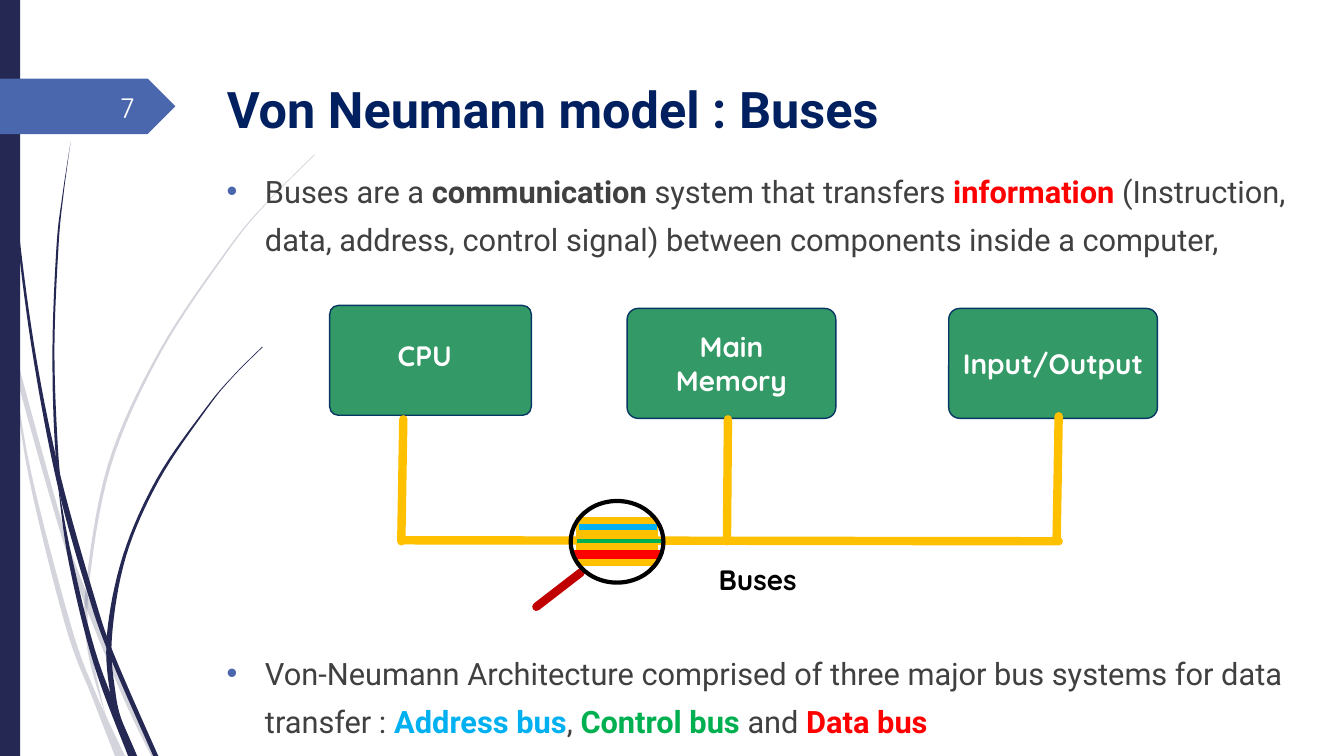
from dataclasses import dataclass
from lxml.etree import SubElement
from pptx import Presentation
from pptx.dml.color import RGBColor
from pptx.enum.shapes import MSO_CONNECTOR, MSO_SHAPE
from pptx.enum.text import MSO_ANCHOR, PP_ALIGN
from pptx.oxml.ns import qn
from pptx.util import Inches, Pt


@dataclass(frozen=True)
class Theme:
    navy: str = "242852"
    tag: str = "4A66AC"
    title: str = "002060"
    body: str = "404040"
    box: str = "339966"
    edge: str = "073763"
    bus: str = "FFC000"
    handle: str = "C00000"
    address: str = "00B0F0"
    control: str = "00B050"
    data: str = "FF0000"
    black: str = "000000"
    white: str = "FFFFFF"
    text_font: str = "Roboto"
    label_font: str = "Quicksand"
    title_size: int = 36
    body_size: int = 22
    label_size: int = 20


T = Theme()
rgb = RGBColor.from_string
prs = Presentation()
prs.slide_width, prs.slide_height = Inches(13.33), Inches(7.5)
CELL = prs.slide_height // 75  # square grid, 75 rows high
s = prs.slides.add_slide(prs.slide_layouts[5])
shapes = s.shapes


def grid(*cells):
    return [round(c * CELL) for c in cells]


def write(p, parts, size, font, align=PP_ALIGN.LEFT):
    """Fill a paragraph with (text, colour, bold) runs."""
    p.alignment = align
    for text, color, bold in parts:
        r = p.add_run()
        r.text = text
        r.font.size, r.font.name, r.font.bold = Pt(size), font, bold
        r.font.color.rgb = rgb(color)


# Wisps: opacity in percent, left edge, right edge
wisps = [
    (20, [(0, 29.9), (1.7, 37.6), (5.8, 52.2), (8.4, 59.9), (12.3, 69.4), (15, 75)],
     [(0, 28.2), (1.4, 34.5), (6.2, 52), (8.5, 58.6), (12.7, 69.2), (15.5, 75)]),
    (20, [(1.1, 35), (2.8, 47), (6.5, 62.1), (9.2, 69.3), (11.4, 75)],
     [(1.1, 35), (3.1, 46.9), (7, 61.9), (9.3, 68.3), (12.4, 75)]),
    (20, [(31.2, 15.3), (26.8, 19.7), (22.8, 24.4), (15.8, 34.8), (10.7, 46.1),
          (8.5, 58.4), (8.7, 64.6), (10.5, 71.1)],
     [(31.2, 15.4), (26.8, 19.8), (22.9, 24.5), (16, 34.9), (11, 46.2),
      (8.8, 58.4), (9.1, 64.6), (10.5, 71.1)]),
    (100, [(0.3, 0), (0.7, 11), (1.7, 23.3), (3.3, 35.5), (5.7, 48.1), (8.8, 59.2),
           (11.1, 65.6), (15.2, 75)],
     [(0.4, 0), (0.8, 10.9), (1.9, 23.2), (3.6, 35.5), (6, 47.2), (9.3, 59),
      (11.3, 64.9), (15.7, 75)]),
    (100, [(5.7, 47.7), (6.8, 55.7), (9.3, 65.9), (12.7, 75)],
     [(5.7, 47.7), (7.2, 55.6), (9.8, 65.7), (13.6, 75)]),
    (100, [(7, 14.1), (6.2, 19.3), (5.6, 24.5), (5.2, 34.9), (5.5, 44.9), (6.4, 50.5)],
     [(7, 14.1), (6.3, 19.3), (5.8, 24.5), (5.4, 34.9), (5.8, 45.3), (6.4, 50.5)]),
    (100, [(26, 34.4), (23.1, 37.3), (20.4, 40.5), (15.6, 47.4), (12.2, 55.1),
           (10.6, 63.1), (11, 69.1), (12.2, 71.9)],
     [(26.1, 34.4), (23.1, 37.4), (20.5, 40.6), (15.8, 47.6), (12.5, 55.2),
      (11.1, 63.3), (11.5, 69), (12.2, 71.9)]),
]
for opacity, *edges in wisps:
    outline = []
    for edge, step in zip(edges, (1, -1)):
        # Catmull-Rom curve through the points of this edge
        pts, curve = [edge[0], *edge, edge[-1]], []
        for a, b, c, d in zip(pts, pts[1:], pts[2:], pts[3:]):
            for t in (i / 8 for i in range(9)):
                curve.append(grid(*(
                    k1 + t * (k2 - k0 + t * (2 * k0 - 5 * k1 + 4 * k2 - k3
                              + t * (3 * k1 - k0 - 3 * k2 + k3))) / 2
                    for k0, k1, k2, k3 in zip(a, b, c, d))))
        outline += curve[::step]
    fb = shapes.build_freeform(*outline[0])
    fb.add_line_segments(outline[1:])
    sp = fb.convert_to_shape()
    sp.shadow.inherit = False
    sp.line.fill.background()
    sp.fill.solid()
    sp.fill.fore_color.rgb = rgb(T.navy)
    if opacity < 100:
        color = sp._element.spPr.find(".//" + qn("a:srgbClr"))
        SubElement(color, qn("a:alpha"), val=str(opacity * 1000))

# Side band and page tag
for kind, at, fill in ((MSO_SHAPE.RECTANGLE, (0, 0, 2, 75), T.navy),
                       (MSO_SHAPE.PENTAGON, (0, 7.8, 17.4, 5.5), T.tag)):
    sp = shapes.add_shape(kind, *grid(*at))
    sp.shadow.inherit = False
    sp.line.fill.background()
    sp.fill.solid()
    sp.fill.fore_color.rgb = rgb(fill)

# Title
title = shapes.title
title.left, title.top, title.width, title.height = grid(21.5, 7.2, 67.9, 7.1)
tf = title.text_frame
tf.word_wrap, tf.vertical_anchor = False, MSO_ANCHOR.TOP
write(tf.paragraphs[0], [("Von Neumann model : Buses", T.title, True)],
      T.title_size, T.text_font)

# Bullets, with room for the diagram between them
bullets = [
    (0, [("Buses are a ", T.body, False), ("communication", T.body, True),
         (" system that transfers ", T.body, False), ("information ", T.data, True),
         ("(Instruction, data, address, control signal) between components "
          "inside a computer,", T.body, False)]),
    (276, [("Von-Neumann Architecture comprised of three major bus systems for "
            "data transfer : ", T.body, False),
           ("Address bus", T.address, True), (", ", T.body, False),
           ("Control bus ", T.control, True), ("and ", T.body, False),
           ("Data bus", T.data, True)]),
]
tf = shapes.add_textbox(*grid(21.5, 15.5, 111, 59)).text_frame
tf.word_wrap = True
for i, (gap, parts) in enumerate(bullets):
    p = tf.add_paragraph() if i else tf.paragraphs[0]
    p.line_spacing, p.space_before = 1.3, Pt(gap)
    pPr = p._p.get_or_add_pPr()
    pPr.set("marL", str(Inches(0.38)))
    pPr.set("indent", str(-Inches(0.38)))
    SubElement(SubElement(pPr, qn("a:buClr")), qn("a:srgbClr"), val=T.tag)
    SubElement(pPr, qn("a:buFont"), typeface="Arial")
    SubElement(pPr, qn("a:buChar"), char="•")
    write(p, parts, T.body_size, T.text_font)

# Components: name, place, corner, right and bottom inset
components = [
    ("Main Memory", (62.2, 30.6, 20.7, 10.9), 0.1, 1, 0.5),
    ("Input/Output", (94.1, 30.6, 20.7, 10.9), 0.1, 1, 0.5),
    ("CPU", (32.7, 30.3, 20, 10.9), 0.08, 2.1, 1.4),
]
for name, at, corner, right, bottom in components:
    sp = shapes.add_shape(MSO_SHAPE.ROUNDED_RECTANGLE, *grid(*at))
    sp.adjustments[0] = corner
    sp.shadow.inherit = False
    sp.fill.solid()
    sp.fill.fore_color.rgb = rgb(T.box)
    sp.line.color.rgb, sp.line.width = rgb(T.edge), Pt(1)
    tf = sp.text_frame
    tf.word_wrap, tf.vertical_anchor = True, MSO_ANCHOR.MIDDLE
    tf.margin_right, tf.margin_bottom = grid(right, bottom)
    write(tf.paragraphs[0], [(name, T.white, True)], T.label_size, T.label_font,
          PP_ALIGN.CENTER)

# Buses and magnifier; the lens plate goes in below its three stripes
lines = [
    ((39.8, 53.6, 105, 53.7), T.bus, 6, "rnd"),
    ((40, 41.6, 39.8, 53.7), T.bus, 6, "rnd"),
    ((72.2, 41.6, 72.1, 53.7), T.bus, 6, "rnd"),
    ((105, 41.3, 104.8, 53.4), T.bus, 6, "rnd"),
    ((57.6, 56.8, 53.2, 60.2), T.handle, 6, "rnd"),
    ((56.8, 55, 65.5, 55), T.data, 6, "flat"),
    ((57.2, 53.7, 65.8, 53.7), T.control, 3, "flat"),
    ((57.4, 52.3, 65.2, 52.3), T.address, 4.5, "flat"),
]
for ends, color, width, cap in lines:
    if color == T.data:
        plate = shapes.add_shape(MSO_SHAPE.RECTANGLE, *grid(57.2, 51.4, 8, 4.7))
        plate.shadow.inherit = False
        plate.fill.solid()
        plate.fill.fore_color.rgb = rgb(T.bus)
        plate.line.color.rgb, plate.line.width = rgb(T.bus), Pt(1.25)
    cx = shapes.add_connector(MSO_CONNECTOR.STRAIGHT, *grid(*ends))
    cx.line.color.rgb, cx.line.width = rgb(color), Pt(width)
    cx.line._get_or_add_ln().set("cap", cap)
    SubElement(cx._element.spPr, qn("a:effectLst"))
lens = shapes.add_shape(MSO_SHAPE.OVAL, *grid(56.6, 49.7, 9.2, 8.1))
lens.shadow.inherit = False
lens.fill.background()
lens.line.color.rgb, lens.line.width = rgb(T.black), Pt(3)

# Bus label and page number
for text, at, color, bold, align, anchor in (
        ("Buses", (63.4, 55.3, 23.5, 3.9), T.black, True, PP_ALIGN.CENTER, MSO_ANCHOR.TOP),
        ("7", (5.8, 8.6, 8.5, 4), T.white, False, PP_ALIGN.RIGHT, MSO_ANCHOR.MIDDLE)):
    tf = shapes.add_textbox(*grid(*at)).text_frame
    tf.word_wrap, tf.vertical_anchor = True, anchor
    write(tf.paragraphs[0], [(text, color, bold)], T.label_size, T.label_font, align)

prs.save("out.pptx")
